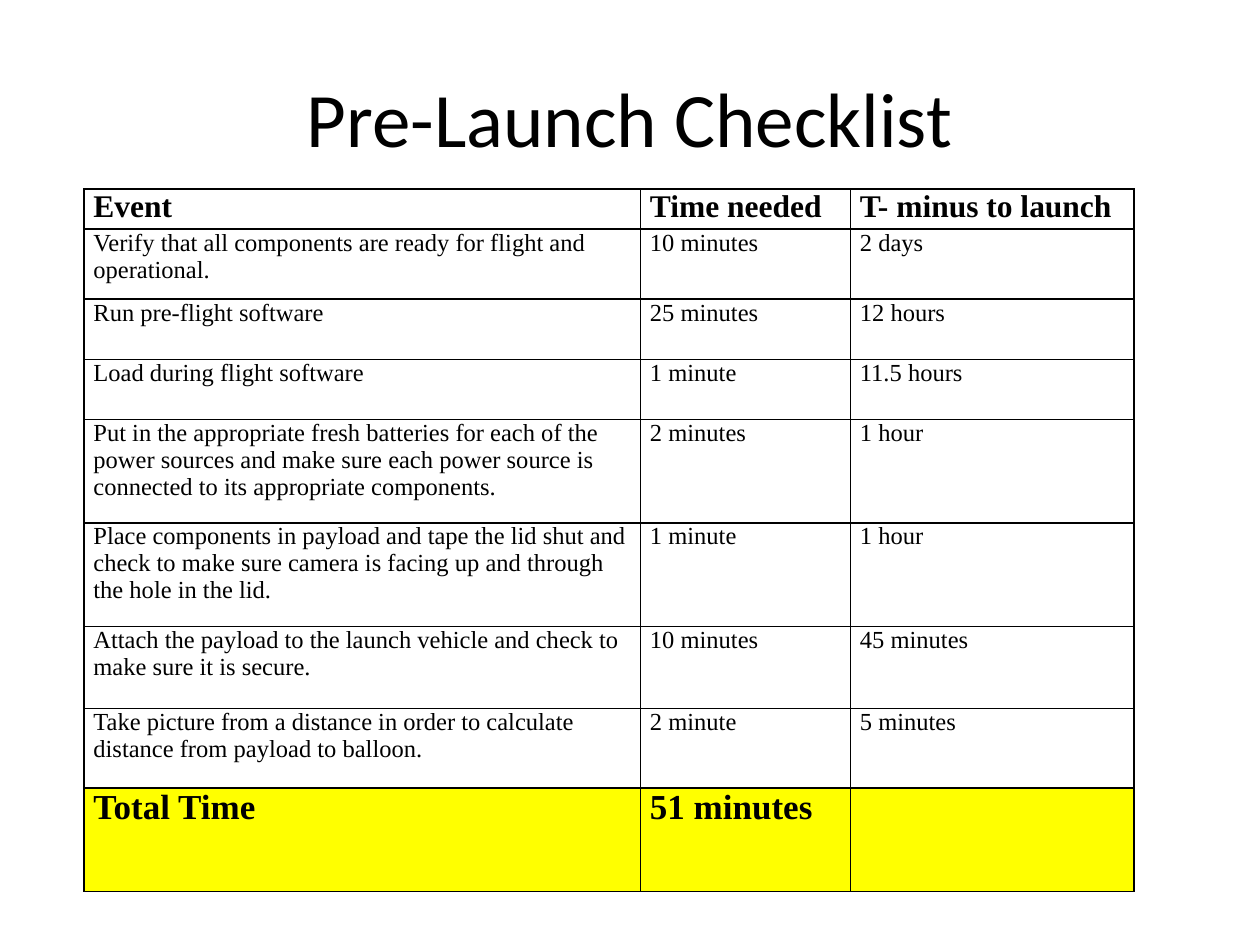
from dataclasses import dataclass

from lxml.etree import SubElement
from pptx import Presentation
from pptx.dml.color import RGBColor as RGB
from pptx.enum.text import MSO_ANCHOR as Anchor, PP_ALIGN as Align
from pptx.oxml.ns import qn
from pptx.util import Pt


@dataclass(frozen=True)
class Theme:
    """Colours, fonts and type sizes of the slide."""
    ink: RGB = RGB(0, 0, 0)
    highlight: RGB = RGB(255, 255, 0)
    title_font: str = "Calibri"
    table_font: str = "Times New Roman"
    title_size: int = 44
    header_size: int = 18
    body_size: int = 14
    total_size: int = 20
    border: int = 1
    inset: float = 5.4


THEME = Theme()
COLUMN_WIDTHS = [318, 120, 162]
ROW_HEIGHTS = [23, 40, 34.3, 34.3, 59.3, 59.3, 46.8, 45.5, 59]
CHECKLIST = [
    ("Event", "Time needed", "T- minus to launch"),
    ("Verify that all components are ready for flight and operational.", "10 minutes", "2 days"),
    ("Run pre-flight software", "25 minutes", "12 hours"),
    ("Load during flight software", "1 minute", "11.5 hours"),
    ("Put in the appropriate fresh batteries for each of the power sources and make sure "
     "each power source is connected to its appropriate components.", "2 minutes", "1 hour"),
    ("Place components in payload and tape the lid shut and check to make sure camera is "
     "facing up and through the hole in the lid.", "1 minute", "1 hour"),
    ("Attach the payload to the launch vehicle and check to make sure it is secure.",
     "10 minutes", "45 minutes"),
    ("Take picture from a distance in order to calculate distance from payload to balloon.",
     "2 minute", "5 minutes"),
    ("Total Time", "51 minutes", ""),
]


def add_run(p, text, font, size, bold=False):
    """Add one formatted run to a paragraph."""
    r = p.add_run()
    r.text = text
    r.font.name = font
    r.font.size = Pt(size)
    r.font.bold = bold
    r.font.color.rgb = THEME.ink


def set_title(slide, text):
    """Place and fill the title placeholder."""
    sp = slide.shapes.title
    sp.left, sp.top, sp.width, sp.height = Pt(36), Pt(21.6), Pt(648), Pt(90)
    tf = sp.text_frame
    tf.vertical_anchor = Anchor.MIDDLE
    p = tf.paragraphs[0]
    p.alignment = Align.CENTER
    add_run(p, text, THEME.title_font, THEME.title_size)


def set_borders(cell):
    """Draw a solid line on each side of a cell."""
    props = cell._tc.get_or_add_tcPr()
    for side in ("lnL", "lnR", "lnT", "lnB"):
        line = SubElement(props, qn(f"a:{side}"), w=str(Pt(THEME.border)))
        fill = SubElement(line, qn("a:solidFill"))
        SubElement(fill, qn("a:srgbClr"), val=str(THEME.ink))


def fill_cell(cell, text, size, bold, color=None):
    """Format one cell and write its text."""
    cell.margin_left = cell.margin_right = Pt(THEME.inset)
    cell.margin_top = cell.margin_bottom = Pt(0)
    set_borders(cell)
    if color is None:
        cell.fill.background()
    else:
        cell.fill.solid()
        cell.fill.fore_color.rgb = color
    if text:
        add_run(cell.text_frame.paragraphs[0], text, THEME.table_font, size, bold)


def add_checklist(slide, rows):
    """Add the table with its header, event and total rows."""
    frame = slide.shapes.add_table(len(rows), len(COLUMN_WIDTHS), Pt(48), Pt(108),
                                   Pt(sum(COLUMN_WIDTHS)), Pt(sum(ROW_HEIGHTS)))
    table = frame.table
    table.first_row = table.horz_banding = False
    for column, width in zip(table.columns, COLUMN_WIDTHS):
        column.width = Pt(width)
    styles = {0: (THEME.header_size, True),
              len(rows) - 1: (THEME.total_size, True, THEME.highlight)}
    for i, (row, height, texts) in enumerate(zip(table.rows, ROW_HEIGHTS, rows)):
        row.height = Pt(height)
        style = styles.get(i, (THEME.body_size, False))
        for cell, text in zip(row.cells, texts):
            fill_cell(cell, text, *style)


def main():
    """Build and save the slide."""
    prs = Presentation()
    prs.slide_width, prs.slide_height = Pt(720), Pt(540)
    s = prs.slides.add_slide(prs.slide_layouts[5])
    set_title(s, "Pre-Launch Checklist")
    add_checklist(s, CHECKLIST)
    prs.save("out.pptx")


if __name__ == "__main__":
    main()
